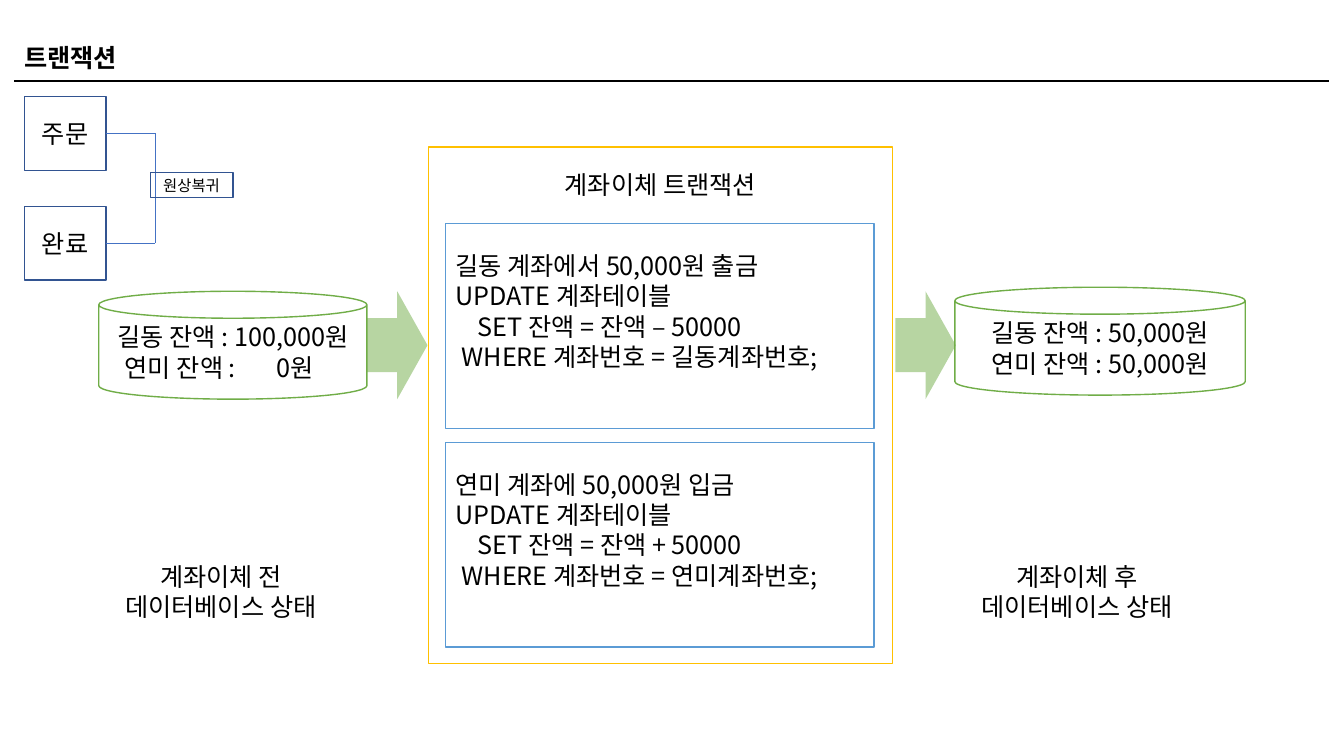
import pptx
import pptx.util
import pptx.dml.color
import pptx.enum.shapes
import pptx.enum.text
import pptx.oxml.ns
from lxml import etree

Inches, Pt = pptx.util.Inches, pptx.util.Pt
RGBColor = pptx.dml.color.RGBColor
SHAPE = pptx.enum.shapes.MSO_SHAPE
ALIGN = pptx.enum.text.PP_ALIGN
ANCHOR = pptx.enum.text.MSO_ANCHOR
qn = pptx.oxml.ns.qn

FONT = "Noto Sans CJK KR"
BLACK = RGBColor(0x00, 0x00, 0x00)
WHITE = RGBColor(0xFF, 0xFF, 0xFF)
GREEN = RGBColor(0x70, 0xAD, 0x47)
GOLD = RGBColor(0xFF, 0xC0, 0x00)
BLUE = RGBColor(0x5B, 0x9B, 0xD5)
NAVY = RGBColor(0x32, 0x54, 0x91)
LINK = RGBColor(0x44, 0x72, 0xC4)


class Deck:
    def __init__(self):
        self.prs = pptx.Presentation()
        self.prs.slide_width = Inches(13.33)
        self.prs.slide_height = Inches(7.5)
        self.slide = self.prs.slides.add_slide(self.prs.slide_layouts[6])

    def fill_text(self, sp, lines, size=18, align=ALIGN.CENTER, bold=False, spacing=None):
        tf = sp.text_frame
        tf.word_wrap = True
        for i, line in enumerate(lines):
            p = tf.paragraphs[0] if i == 0 else tf.add_paragraph()
            p.text = line
            p.alignment = align
            if spacing:
                p.line_spacing = spacing
            p.font.name, p.font.size, p.font.bold = FONT, Pt(size), bold
            p.font.color.rgb = BLACK
            # East Asian typeface
            font = p._p.pPr.find(qn("a:defRPr"))
            etree.SubElement(font, qn("a:ea")).set("typeface", FONT)
        return tf

    def indent(self, p, left, tab=None):
        p.alignment = ALIGN.LEFT
        p._p.pPr.set("marL", str(Inches(left)))
        p._p.pPr.set("indent", "0")
        if tab:
            tabs = etree.Element(qn("a:tabLst"))
            etree.SubElement(tabs, qn("a:tab"), pos=str(Inches(tab)), algn="l")
            p._p.pPr.find(qn("a:defRPr")).addprevious(tabs)

    def text(self, box, lines, **style):
        sp = self.slide.shapes.add_textbox(*map(Inches, box))
        return self.fill_text(sp, lines, **style)

    def shape(self, kind, box, line=None, fill=None, lines=(), alpha=None, **style):
        sp = self.slide.shapes.add_shape(kind, *map(Inches, box))
        sp.shadow.inherit = False
        if fill is None:
            sp.fill.background()
        else:
            sp.fill.solid()
            sp.fill.fore_color.rgb = fill
        if alpha:
            color = sp._element.spPr.find(qn("a:solidFill"))[0]
            etree.SubElement(color, qn("a:alpha")).set("val", str(alpha * 1000))
        if line is None:
            sp.line.fill.background()
        else:
            sp.line.color.rgb = line
            sp.line.width = Pt(1)
        sp.text_frame.vertical_anchor = ANCHOR.MIDDLE
        self.fill_text(sp, lines, **style)
        return sp

    def line(self, start, end, color, width):
        kind = pptx.enum.shapes.MSO_CONNECTOR.STRAIGHT
        c = self.slide.shapes.add_connector(kind, *map(Inches, start + end))
        c.line.color.rgb = color
        c.line.width = Pt(width)
        etree.SubElement(c._element.spPr, qn("a:effectLst"))
        return c

    def sql(self, box, lines):
        sp = self.shape(SHAPE.RECTANGLE, box, BLUE, WHITE, lines, align=ALIGN.LEFT)
        tf = sp.text_frame
        tf.margin_bottom = Inches(0.35)
        self.indent(tf.paragraphs[2], 0.22)
        self.indent(tf.paragraphs[3], 0.06)


def main():
    deck = Deck()

    # Title
    deck.line((0.14, 0.8), (13.18, 0.8), BLACK, 1.5)
    deck.text((0.14, 0.37, 13.04, 0.4), ["트랜잭션"], align=ALIGN.LEFT, bold=True)

    # Database before and after
    before = deck.shape(SHAPE.CAN, (0.98, 2.89, 2.66, 1.07), GREEN, WHITE,
                        ["길동 잔액 : 100,000원", "연미 잔액 :\t0원"])
    deck.indent(before.text_frame.paragraphs[1], 0.16, tab=1.7)
    deck.shape(SHAPE.CAN, (9.47, 2.85, 2.88, 1.07), GREEN, WHITE,
               ["길동 잔액 : 50,000원", "연미 잔액 : 50,000원"])
    for x, state in ((0.98, "계좌이체 전"), (9.47, "계좌이체 후")):
        deck.text((x, 5.52, 2.42, 0.71), [state, "데이터베이스 상태"])

    # Transaction
    deck.shape(SHAPE.RECTANGLE, (4.25, 1.46, 4.6, 5.12), GOLD, WHITE)
    deck.text((4.25, 1.48, 4.6, 0.5), ["계좌이체 트랜잭션"], spacing=1.5)
    for y, action, sign, owner in ((2.22, "길동 계좌에서 50,000원 출금", "–", "길동"),
                                   (4.39, "연미 계좌에 50,000원 입금", "+", "연미")):
        deck.sql((4.42, y, 4.25, 2.03),
                 [action, "UPDATE 계좌테이블", f"SET 잔액 = 잔액 {sign} 50000",
                  f"WHERE 계좌번호 = {owner}계좌번호;"])
    for x in (3.64, 8.88):
        deck.shape(SHAPE.RIGHT_ARROW, (x, 2.89, 0.6, 1.07), fill=GREEN, alpha=50)

    # Rollback from completion to order
    for y, step in ((0.96, "주문"), (2.05, "완료")):
        sp = deck.shape(SHAPE.RECTANGLE, (0.24, y, 0.81, 0.73), NAVY, lines=[step])
        mid = y + 0.73 / 2
        deck.line((1.05, mid), (1.54, mid), LINK, 0.5).begin_connect(sp, 3)
    deck.line((1.54, 2.41), (1.54, 1.32), LINK, 0.5)
    deck.shape(SHAPE.RECTANGLE, (1.49, 1.71, 0.82, 0.25), NAVY,
               lines=["원상복귀"], size=11)

    deck.prs.save("out.pptx")


if __name__ == "__main__":
    main()
